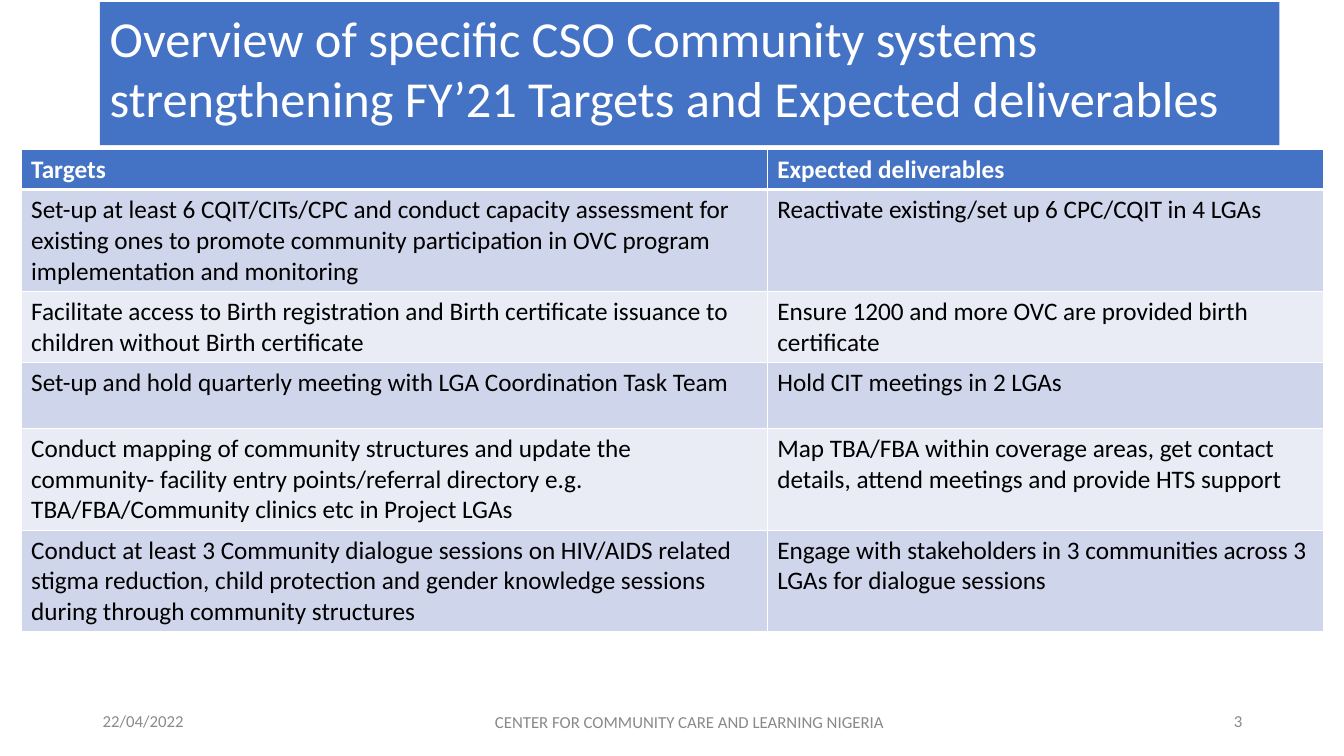
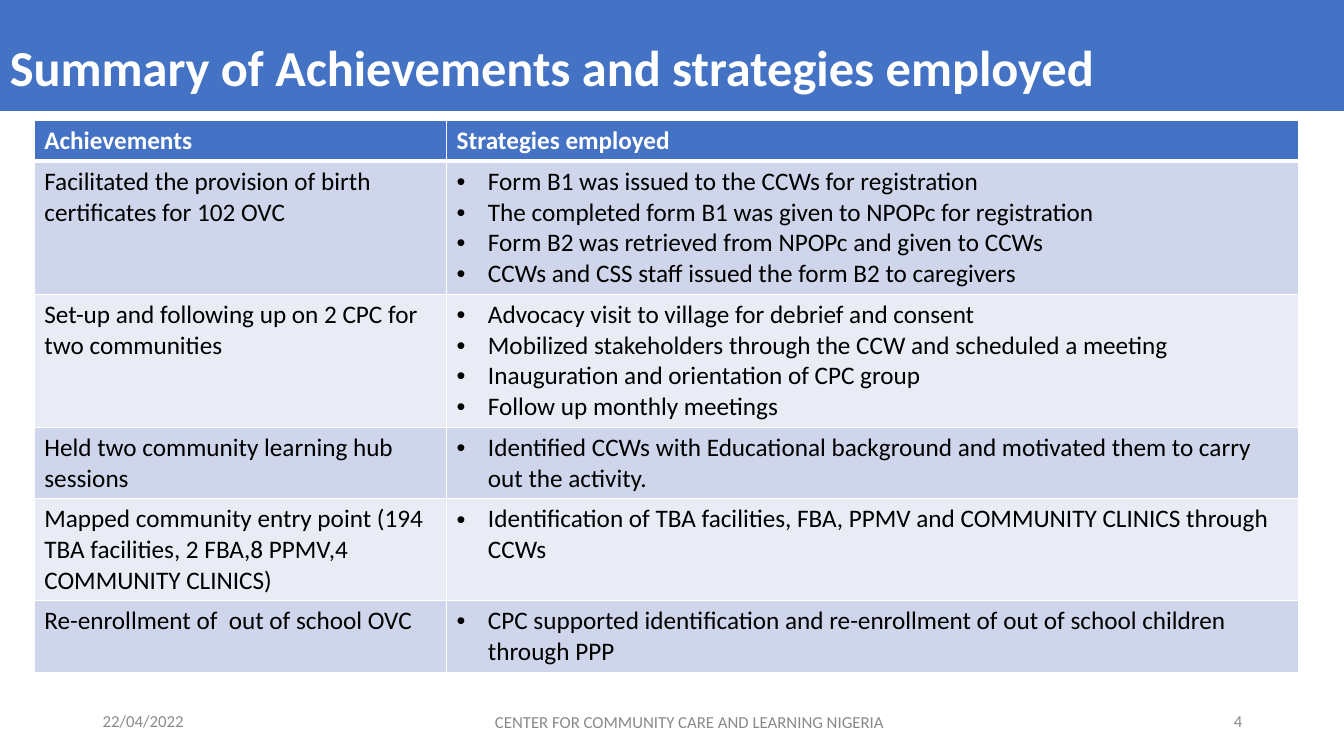
from pptx import Presentation
from pptx.dml.color import RGBColor
from pptx.enum.shapes import MSO_SHAPE
from pptx.enum.text import MSO_ANCHOR, PP_ALIGN
from pptx.oxml.ns import qn
from pptx.util import Inches, Pt
from lxml.etree import SubElement

BLUE = RGBColor(0x44, 0x72, 0xC4)
BAND_DARK = RGBColor(0xCF, 0xD5, 0xEA)
BAND_LIGHT = RGBColor(0xE9, 0xEB, 0xF5)
WHITE = RGBColor(0xFF, 0xFF, 0xFF)
BLACK = RGBColor(0x00, 0x00, 0x00)
GREY = RGBColor(0x89, 0x89, 0x89)
DATE_GREY = RGBColor(0x8B, 0x8B, 0x8B)
FONT = "Calibri"
DATE = "22/04/2022"
ORGANISATION = "CENTER FOR COMMUNITY CARE AND LEARNING NIGERIA"
BULLET_INDENT = Inches(0.31)

TARGETS = [
    ("Targets", "Expected deliverables"),
    ("Set-up at least 6 CQIT/CITs/CPC and conduct capacity assessment for existing ones to promote "
     "community participation in OVC program implementation and monitoring",
     "Reactivate existing/set up 6 CPC/CQIT in 4 LGAs"),
    ("Facilitate access to Birth registration and Birth certificate issuance to children without "
     "Birth certificate",
     "Ensure 1200 and more OVC are provided birth certificate"),
    ("Set-up and hold quarterly meeting with LGA Coordination Task Team",
     "Hold CIT meetings in 2 LGAs"),
    ("Conduct mapping of community structures and update the community- facility entry "
     "points/referral directory e.g. TBA/FBA/Community clinics etc in Project LGAs",
     "Map TBA/FBA within coverage areas, get contact details, attend meetings and provide HTS support"),
    ("Conduct at least 3 Community dialogue sessions on HIV/AIDS related stigma reduction, child "
     "protection and gender knowledge sessions during through community structures",
     "Engage with stakeholders in 3 communities across 3 LGAs for dialogue sessions"),
]

ACHIEVEMENTS = [
    ("Achievements", "Strategies employed"),
    ("Facilitated the provision of birth certificates for 102 OVC",
     ["Form B1 was issued to the CCWs for registration",
      "The completed form B1 was given to NPOPc for registration",
      "Form B2 was retrieved from NPOPc and given to CCWs",
      "CCWs and CSS staff issued the form B2 to caregivers"]),
    ("Set-up and following up on 2 CPC for two communities",
     ["Advocacy visit to village for debrief and consent",
      "Mobilized stakeholders through the CCW and scheduled a meeting",
      "Inauguration and orientation of CPC group",
      "Follow up monthly meetings"]),
    ("Held two community learning hub sessions",
     ["Identified CCWs with Educational background and motivated them to carry out the activity."]),
    ("Mapped community entry point (194 TBA facilities, 2 FBA,8 PPMV,4 COMMUNITY CLINICS)",
     ["Identification of TBA facilities, FBA, PPMV and COMMUNITY CLINICS through CCWs"]),
    ("Re-enrollment of  out of school OVC",
     ["CPC supported identification and re-enrollment of out of school children through PPP"]),
]


def style(paragraph, size, color, bold=False, align=PP_ALIGN.LEFT):
    """Give a paragraph its font and alignment."""
    paragraph.alignment = align
    font = paragraph.font
    font.name, font.size, font.bold = FONT, Pt(size), bold
    font.color.rgb = color


def add_title(slide, box, title, bold=False, top_inset=0.05):
    """Draw the blue title band in the given box."""
    band = slide.shapes.add_shape(MSO_SHAPE.RECTANGLE, *map(Inches, box))
    band.shadow.inherit = False
    band.fill.solid()
    band.fill.fore_color.rgb = BLUE
    band.line.fill.background()
    frame = band.text_frame
    frame.word_wrap = True
    frame.vertical_anchor = MSO_ANCHOR.TOP
    frame.margin_top = Inches(top_inset)
    frame.text = title
    style(frame.paragraphs[0], 36, WHITE, bold)


def add_footer(slide, number):
    """Write the date, slide number and organisation at the foot."""
    for box, text, color, align in (
        ((0.92, 6.95, 3, 0.4), DATE, DATE_GREY, PP_ALIGN.LEFT),
        ((9.42, 6.95, 3, 0.4), str(number), GREY, PP_ALIGN.RIGHT),
        ((3.34, 6.96, 7, 0.4), ORGANISATION, GREY, PP_ALIGN.CENTER),
    ):
        frame = slide.shapes.add_textbox(*map(Inches, box)).text_frame
        frame.word_wrap = True
        frame.vertical_anchor = MSO_ANCHOR.MIDDLE
        frame.text = text
        style(frame.paragraphs[0], 12, color, align=align)


def add_borders(cell, top, bottom):
    """Outline a cell in white, with top and bottom widths in points."""
    properties = cell._tc.get_or_add_tcPr()
    for side, width in (("L", 1), ("R", 1), ("T", top), ("B", bottom)):
        edge = SubElement(properties, qn(f"a:ln{side}"), w=str(Pt(width)))
        fill = SubElement(edge, qn("a:solidFill"))
        SubElement(fill, qn("a:srgbClr"), val=str(WHITE))


def add_bullet(paragraph):
    """Turn a paragraph into a hanging bullet item."""
    properties = paragraph._p.get_or_add_pPr()
    properties.set("marL", str(BULLET_INDENT))
    properties.set("indent", str(-BULLET_INDENT))
    SubElement(properties, qn("a:buFont"), typeface="Arial")
    SubElement(properties, qn("a:buChar"), char="•")


def fill_cell(cell, content, row):
    """Write text or a bullet list into a cell of the given row."""
    is_header = row == 0
    add_borders(cell, top=3 if row == 1 else 1, bottom=3 if is_header else 1)
    cell.fill.solid()
    cell.fill.fore_color.rgb = BLUE if is_header else BAND_DARK if row % 2 else BAND_LIGHT
    bulleted = isinstance(content, list)
    cell.text = "\n".join(content) if bulleted else content
    for paragraph in cell.text_frame.paragraphs:
        if bulleted:
            add_bullet(paragraph)
        style(paragraph, 18, WHITE if is_header else BLACK, is_header)


def add_banded_table(slide, left, top, widths, heights, rows):
    """Place a two-column table with a blue header and banded rows."""
    box = map(Inches, (left, top, sum(widths), sum(heights)))
    table = slide.shapes.add_table(len(rows), len(widths), *box).table
    for column, width in zip(table.columns, widths):
        column.width = Inches(width)
    for index, (height, contents) in enumerate(zip(heights, rows)):
        table.rows[index].height = Inches(height)
        for column, content in enumerate(contents):
            fill_cell(table.cell(index, column), content, index)


def build_targets(slide):
    """Build the slide of targets and deliverables."""
    add_title(slide, (0.99, 0.02, 11.7, 1.42),
              "Overview of specific CSO Community systems strengthening FY’21 Targets "
              "and Expected deliverables")
    add_footer(slide, 3)
    add_banded_table(slide, 0.21, 1.48, (7.4, 5.52),
                     (0.4, 1.01, 0.71, 0.65, 1.01, 1.01), TARGETS)


def build_achievements(slide):
    """Build the slide of achievements and strategies."""
    add_title(slide, (0, 0, 13.33, 1.1), "Summary of Achievements and strategies employed",
              bold=True, top_inset=0.36)
    add_footer(slide, 4)
    add_banded_table(slide, 0.34, 1.19, (4.09, 8.45),
                     (0.41, 1.32, 1.32, 0.71, 1.01, 0.71), ACHIEVEMENTS)


def main():
    """Build and save the presentation."""
    deck = Presentation()
    deck.slide_width, deck.slide_height = Inches(13.33), Inches(7.5)
    for build in (build_targets, build_achievements):
        build(deck.slides.add_slide(deck.slide_layouts[6]))
    deck.save("out.pptx")


if __name__ == "__main__":
    main()
